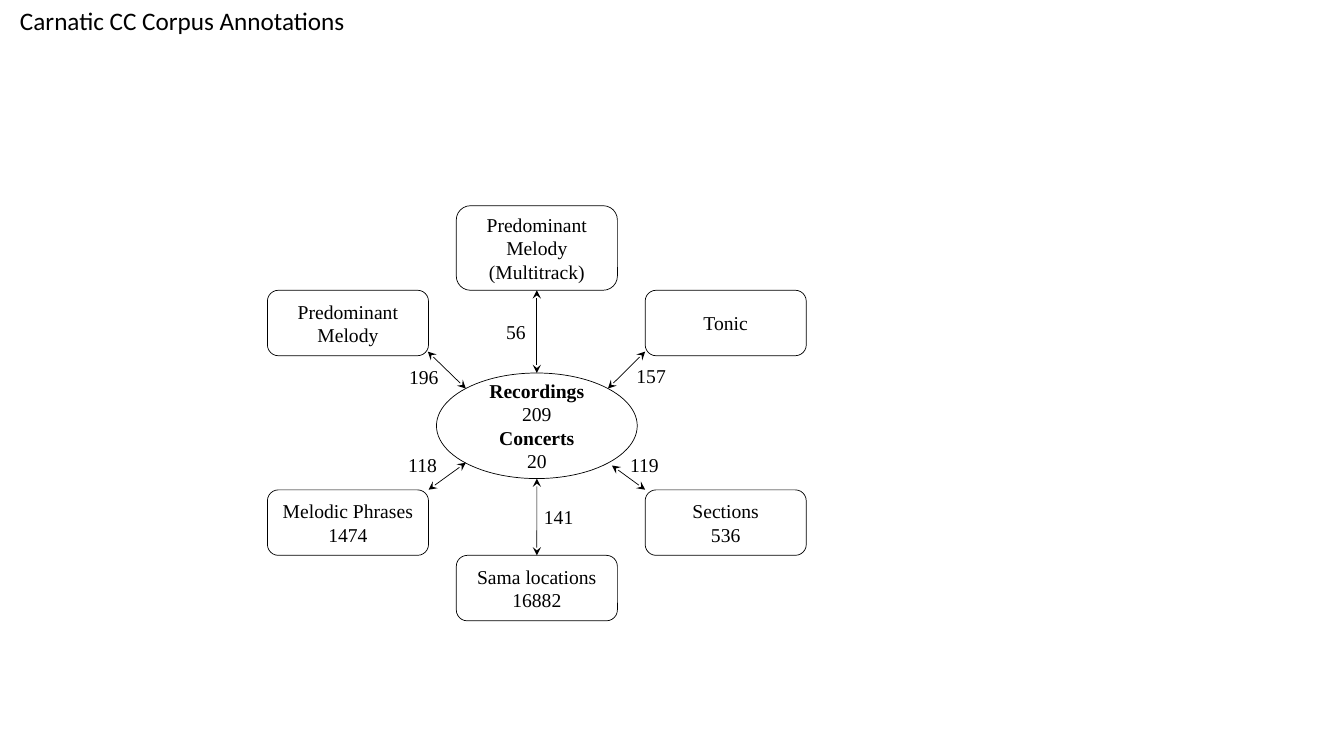
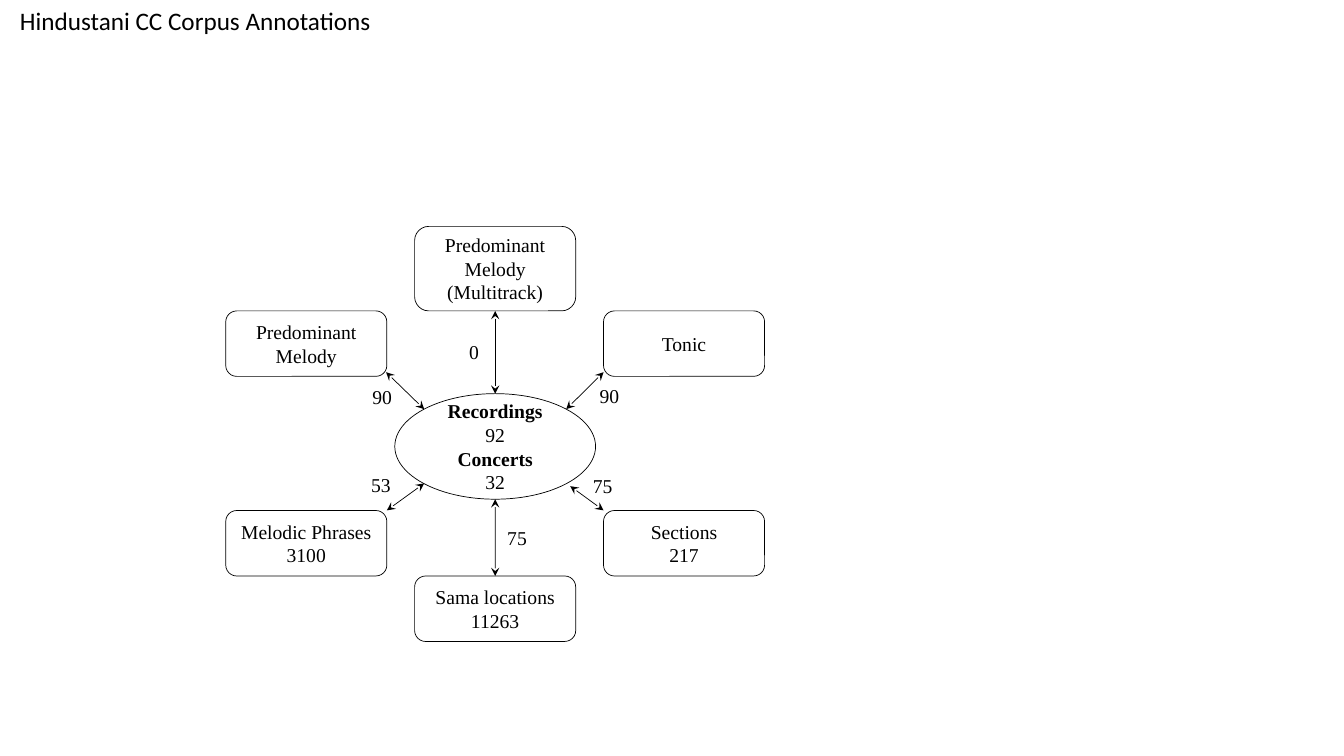
"""Build two slides that map the annotations of two music corpora."""
from dataclasses import dataclass

from lxml.etree import SubElement
from pptx import Presentation
from pptx.dml.color import RGBColor
from pptx.enum.shapes import MSO_CONNECTOR, MSO_SHAPE
from pptx.enum.text import MSO_ANCHOR, MSO_AUTO_SIZE, PP_ALIGN
from pptx.oxml.ns import qn
from pptx.util import Cm, Pt


@dataclass(frozen=True)
class Theme:
    ink: RGBColor = RGBColor(0, 0, 0)
    paper: RGBColor = RGBColor(255, 255, 255)
    head: str = "Calibri"
    body: str = "Times New Roman"
    big: Pt = Pt(18)
    small: Pt = Pt(14)
    rule: Pt = Pt(0.5)


theme = Theme()


def write(shape, text, font=theme.body, size=theme.small, bold=(),
          align=PP_ALIGN.CENTER, anchor=MSO_ANCHOR.MIDDLE, inset=None, grow=False):
    frame = shape.text_frame
    frame.word_wrap = True
    frame.vertical_anchor = anchor
    frame.auto_size = MSO_AUTO_SIZE.SHAPE_TO_FIT_TEXT if grow else MSO_AUTO_SIZE.NONE
    if inset is not None:
        frame.margin_left = frame.margin_right = inset
        frame.margin_top = frame.margin_bottom = inset
    frame.text = text
    for para in frame.paragraphs:
        para.alignment = align
        para.font.name = font
        para.font.size = size
        para.font.color.rgb = theme.ink
        para.font.bold = para.text in bold


def place(slide, kind, mid, size):
    (x, y), (wide, high) = mid, size
    shape = slide.shapes.add_shape(
        kind, Cm(x - wide / 2), Cm(y - high / 2), Cm(wide), Cm(high))
    shape.shadow.inherit = False
    shape.fill.solid()
    shape.fill.fore_color.rgb = theme.paper
    shape.line.color.rgb = theme.ink
    shape.line.width = theme.rule
    return shape


oval_size = (5.06, 2.66)
box_size = (4.06, 1.65)
tall_size = (4.06, 2.13)
boxes = {
    "top": ("Predominant Melody (Multitrack)", 0, -4.48, tall_size),
    "tonic": ("Tonic", 4.76, -2.59, box_size),
    "tune": ("Predominant Melody", -4.76, -2.59, box_size),
    "phrase": ("Melodic Phrases", -4.76, 2.44, box_size),
    "sama": ("Sama locations", 0, 4.09, box_size),
    "part": ("Sections", 4.76, 2.44, box_size),
}
label_size = (1.63, 0.61)
labels = {
    "part": (2.71, 1),
    "sama": (0.55, 2.3),
    "phrase": (-2.88, 0.98),
    "tonic": (2.88, -1.26),
    "top": (-0.53, -2.37),
    "tune": (-2.85, -1.24),
}
arrows = {
    "top": (0, -3.42, 0, -1.33),
    "tonic": (1.79, -0.94, 2.73, -1.87),
    "tune": (-1.79, -0.94, -2.75, -1.87),
    "part": (1.89, 1, 2.73, 1.61),
    "sama": (0, 3.27, 0, 1.33),
    "phrase": (-2.73, 1.61, -1.79, 0.93),
}
pages = [
    ("Carnatic CC Corpus Annotations", (13.53, 10.73), (209, 20),
     {"phrase": 1474, "sama": 16882, "part": 536},
     {"top": 56, "tonic": 157, "tune": 196, "phrase": 118, "sama": 141, "part": 119}),
    ("Hindustani CC Corpus Annotations", (12.48, 11.25), (92, 32),
     {"phrase": 3100, "sama": 11263, "part": 217},
     {"top": 0, "tonic": 90, "tune": 90, "phrase": 53, "sama": 75, "part": 75}),
]

deck = Presentation()
deck.slide_width, deck.slide_height = Cm(33.87), Cm(19.05)

for name, (x, y), (tracks, shows), totals, links in pages:
    slide = deck.slides.add_slide(deck.slide_layouts[5])
    title = slide.shapes.title
    title.left, title.top, title.width, title.height = Cm(0.25), Cm(0), Cm(10.62), Cm(1.02)
    write(title, name, font=theme.head, size=theme.big, align=PP_ALIGN.LEFT,
          anchor=MSO_ANCHOR.TOP, grow=True)

    oval = place(slide, MSO_SHAPE.OVAL, (x, y), oval_size)
    write(oval, f"Recordings\n{tracks}\nConcerts\n{shows}", bold=("Recordings", "Concerts"))

    nodes = {}
    for key, (text, dx, dy, size) in boxes.items():
        nodes[key] = place(slide, MSO_SHAPE.ROUNDED_RECTANGLE, (x + dx, y + dy), size)
        write(nodes[key], f"{text}\n{totals[key]}" if key in totals else text)

    wide, high = label_size
    for key, (dx, dy) in labels.items():
        label = slide.shapes.add_textbox(
            Cm(x + dx - wide / 2), Cm(y + dy - high / 2), Cm(wide), Cm(high))
        write(label, str(links[key]), anchor=MSO_ANCHOR.TOP, inset=0, grow=True)

    for key, (ax, ay, bx, by) in arrows.items():
        arrow = slide.shapes.add_connector(
            MSO_CONNECTOR.STRAIGHT, Cm(x + ax), Cm(y + ay), Cm(x + bx), Cm(y + by))
        arrow.line.color.rgb = theme.ink
        arrow.line.width = theme.rule
        line = arrow.line._get_or_add_ln()
        for end in ("a:headEnd", "a:tailEnd"):
            SubElement(line, qn(end), type="stealth")
        SubElement(arrow._element.spPr, qn("a:effectLst"))
        if key == "top":
            arrow.begin_connect(nodes[key], 2)
            arrow.end_connect(oval, 0)
        elif key == "sama":
            arrow.begin_connect(nodes[key], 0)

deck.save("out.pptx")
